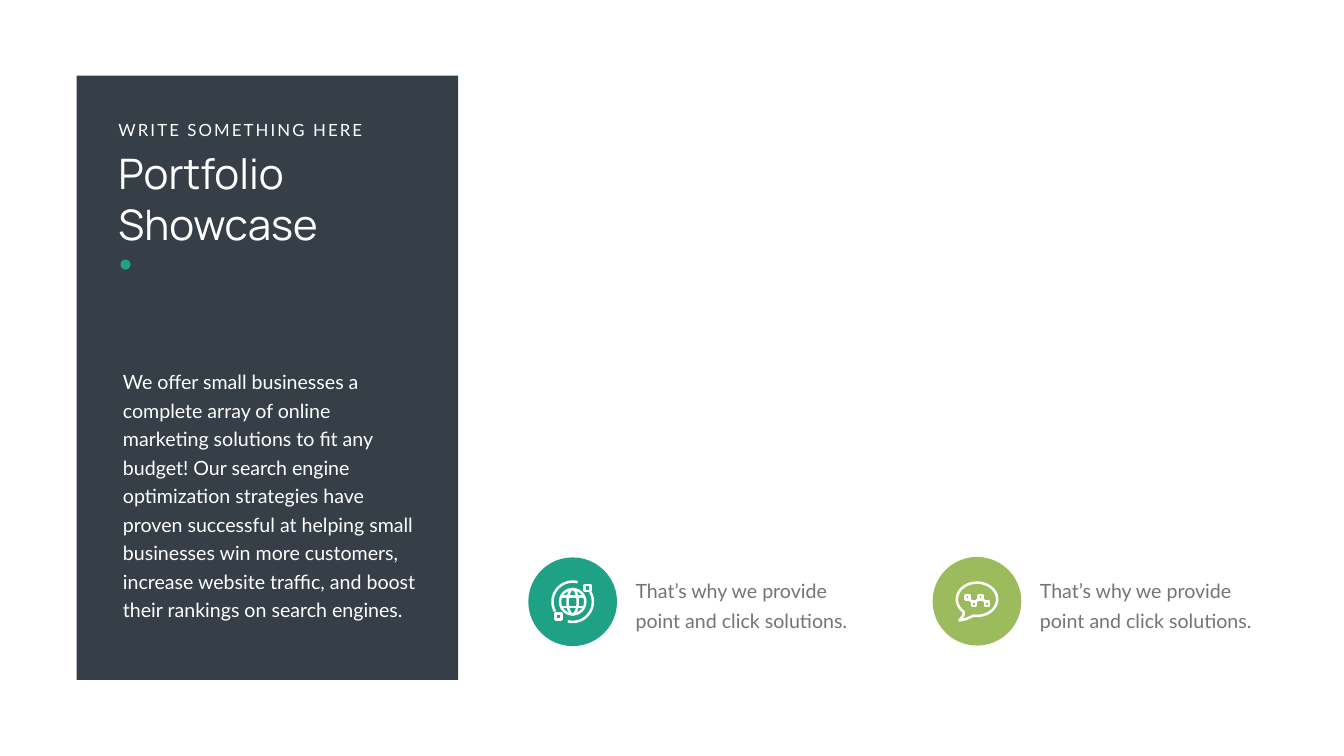
from math import cos, radians, sin

from pptx import Presentation
from pptx.dml.color import RGBColor
from pptx.enum.shapes import MSO_SHAPE
from pptx.enum.text import MSO_ANCHOR, MSO_AUTO_SIZE, PP_ALIGN
from pptx.util import Inches, Pt

RECT, OVAL = MSO_SHAPE.RECTANGLE, MSO_SHAPE.OVAL
TOP, LEFT = MSO_ANCHOR.TOP, PP_ALIGN.LEFT
GROW = MSO_AUTO_SIZE.SHAPE_TO_FIT_TEXT

WHITE = RGBColor(0xFF, 0xFF, 0xFF)
SLATE = RGBColor(0x36, 0x3E, 0x48)
TEAL = RGBColor(0x1E, 0xA1, 0x85)
GREEN = RGBColor(0x9B, 0xBB, 0x5C)
GREY = RGBColor(0x73, 0x75, 0x72)

INTRO = (
    "We offer small businesses a complete array of online marketing "
    "solutions to fit any budget! Our search engine optimization strategies "
    "have proven successful at helping small businesses win more customers, "
    "increase website traffic, and boost their rankings on search engines."
)
POINT = "That’s why we provide point and click solutions."


def arc(rx, ry, start=0, end=360):
    """Points along an ellipse, in degrees clockwise from the right."""
    steps = 48
    turns = [radians(start + (end - start) * i / steps) for i in range(steps + 1)]
    return [(rx * cos(t), ry * sin(t)) for t in turns]


def box(x, y, half):
    """Closed square around a centre."""
    signs = [(-1, -1), (1, -1), (1, 1), (-1, 1), (-1, -1)]
    return [(x + half * i, y + half * j) for i, j in signs]


class Deck:
    body, head = "Lato", "Manrope"

    def __init__(self, wide, high):
        self.prs = Presentation()
        self.prs.slide_width, self.prs.slide_height = Inches(wide), Inches(high)
        self.slide = self.prs.slides.add_slide(self.prs.slide_layouts[5])
        self.shapes = self.slide.shapes

    def shape(self, kind, x, y, w, h, color):
        item = self.shapes.add_shape(kind, Inches(x), Inches(y), Inches(w), Inches(h))
        item.shadow.inherit = False
        item.fill.solid()
        item.fill.fore_color.rgb = color
        item.line.fill.background()
        return item

    def label(self, item, words, size, color, font, lead=None, track=None, wrap=True):
        frame = item.text_frame
        frame.word_wrap = wrap
        frame.auto_size = GROW
        frame.vertical_anchor = TOP
        para = frame.paragraphs[0]
        para.alignment = LEFT
        if lead:
            para.line_spacing = Pt(lead)
        run = para.add_run()
        run.text = words
        run.font.size = Pt(size)
        run.font.name = font
        run.font.color.rgb = color
        if track:
            run._r.get_or_add_rPr().set("spc", str(track * 100))

    def text(self, x, y, w, h, words, size, color, **style):
        item = self.shapes.add_textbox(Inches(x), Inches(y), Inches(w), Inches(h))
        self.label(item, words, size, color, self.body, **style)

    def title(self, x, y, w, h, words, size, color, above):
        item = self.shapes.title
        item.left, item.top = Inches(x), Inches(y)
        item.width, item.height = Inches(w), Inches(h)
        self.label(item, words, size, color, self.head)
        above.element.addnext(item.element)

    def strokes(self, x, y, paths):
        """One white outline of several paths, placed around x, y."""
        pen = None
        for path in paths:
            pts = [(Inches(x + i), Inches(y + j)) for i, j in path]
            if pen is None:
                pen = self.shapes.build_freeform(*pts[0], scale=1.0)
            else:
                pen.move_to(*pts[0])
            pen.add_line_segments(pts[1:], close=pts[0] == pts[-1])
        item = pen.convert_to_shape()
        item.shadow.inherit = False
        item.fill.background()
        item.line.color.rgb = WHITE
        item.line.width = Pt(3.6)

    def feature(self, x, y, color):
        self.shape(OVAL, x, y, 1.76, 1.76, color)
        self.text(x + 2.03, 11.31, 4.6, 1.25, POINT, 28, GREY, lead=43)

    def globe(self, x, y):
        bars = [[(-0.23, j), (0.23, j)] for j in (-0.1, 0.1)]
        self.strokes(x, y, [arc(0.25, 0.25), arc(0.1, 0.25), *bars])
        for start, i, j in ((-29, 0.29, -0.27), (151, -0.28, 0.29)):
            self.strokes(x, y, [arc(0.4, 0.4, start, start + 133), box(i, j, 0.06)])

    def bubble(self, x, y):
        tail = [(-0.21, 0.39), (-0.35, 0.42), (-0.27, 0.32)]
        ring = arc(0.4, 0.33, 131, 460)
        self.strokes(x, y, [ring + tail + ring[:1]])
        dots = [(-0.19 + 0.13 * n, 0.09 if n % 2 else -0.04) for n in range(4)]
        links = []
        for (i, j), (k, m) in zip(dots, dots[1:]):
            dip = 0.04 if m > j else -0.04
            links.append([(i + 0.04, j + dip), (k - 0.04, m - dip)])
        self.strokes(x, y, [box(i, j, 0.04) for i, j in dots] + links)


def main():
    deck = Deck(26.66, 15)

    # Dark panel with heading and introduction
    panel = deck.shape(RECT, 1.52, 1.5, 7.57, 11.99, SLATE)
    deck.title(2.25, 2.88, 6.01, 2.12, "Portfolio Showcase", 60, WHITE, panel)
    deck.text(2.25, 2.33, 5.14, 0.5, "WRITE SOMETHING HERE", 24, WHITE,
              track=3, wrap=False)
    deck.shape(OVAL, 2.39, 5.15, 0.2, 0.2, TEAL)
    deck.text(2.34, 7.19, 6.01, 5.22, INTRO, 28, WHITE, lead=40.8)

    # Two features with their icons
    deck.feature(10.48, 11.06, TEAL)
    deck.globe(11.36, 11.94)
    deck.feature(18.5, 11.05, GREEN)
    deck.bubble(19.38, 11.89)

    deck.prs.save("out.pptx")


if __name__ == "__main__":
    main()
